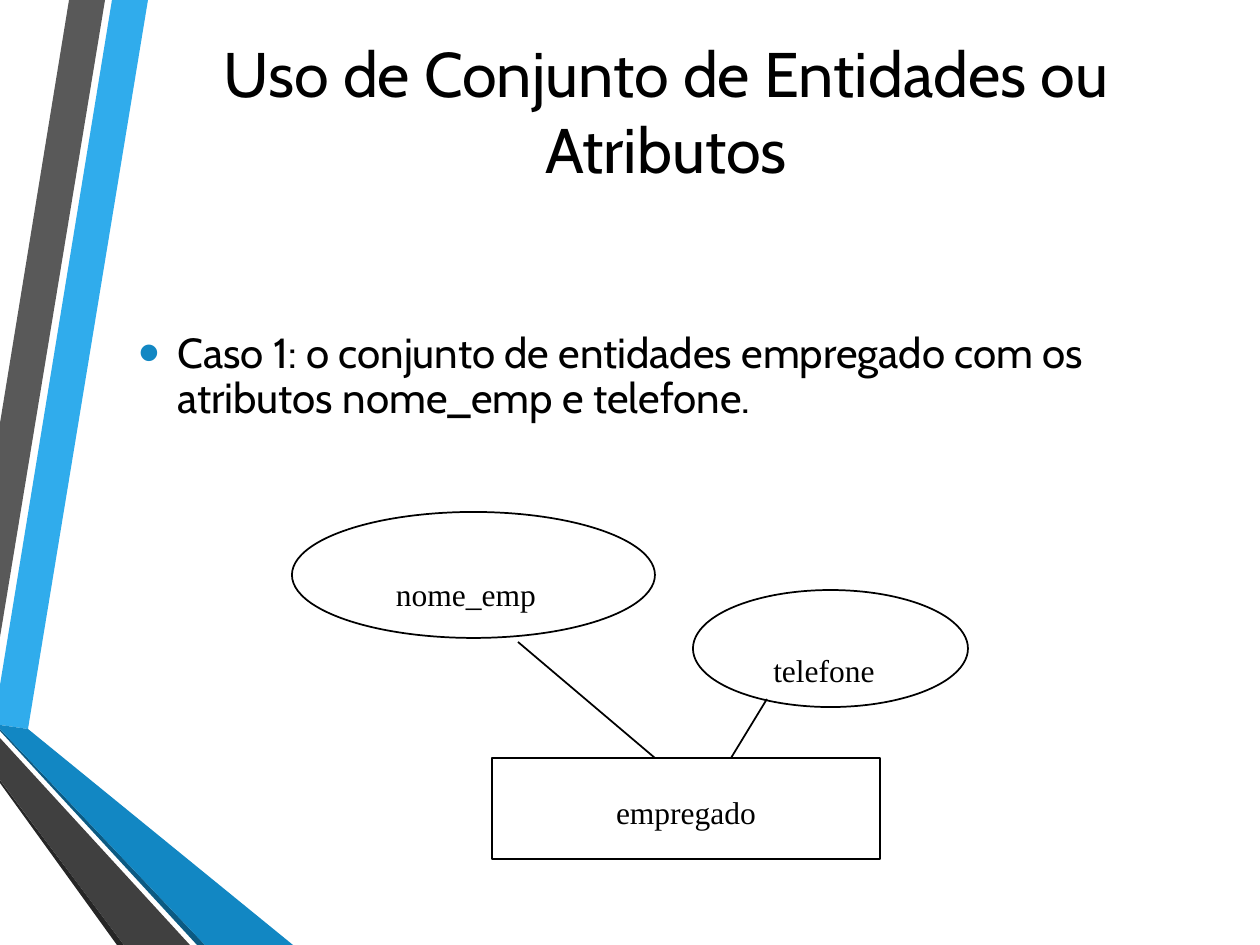
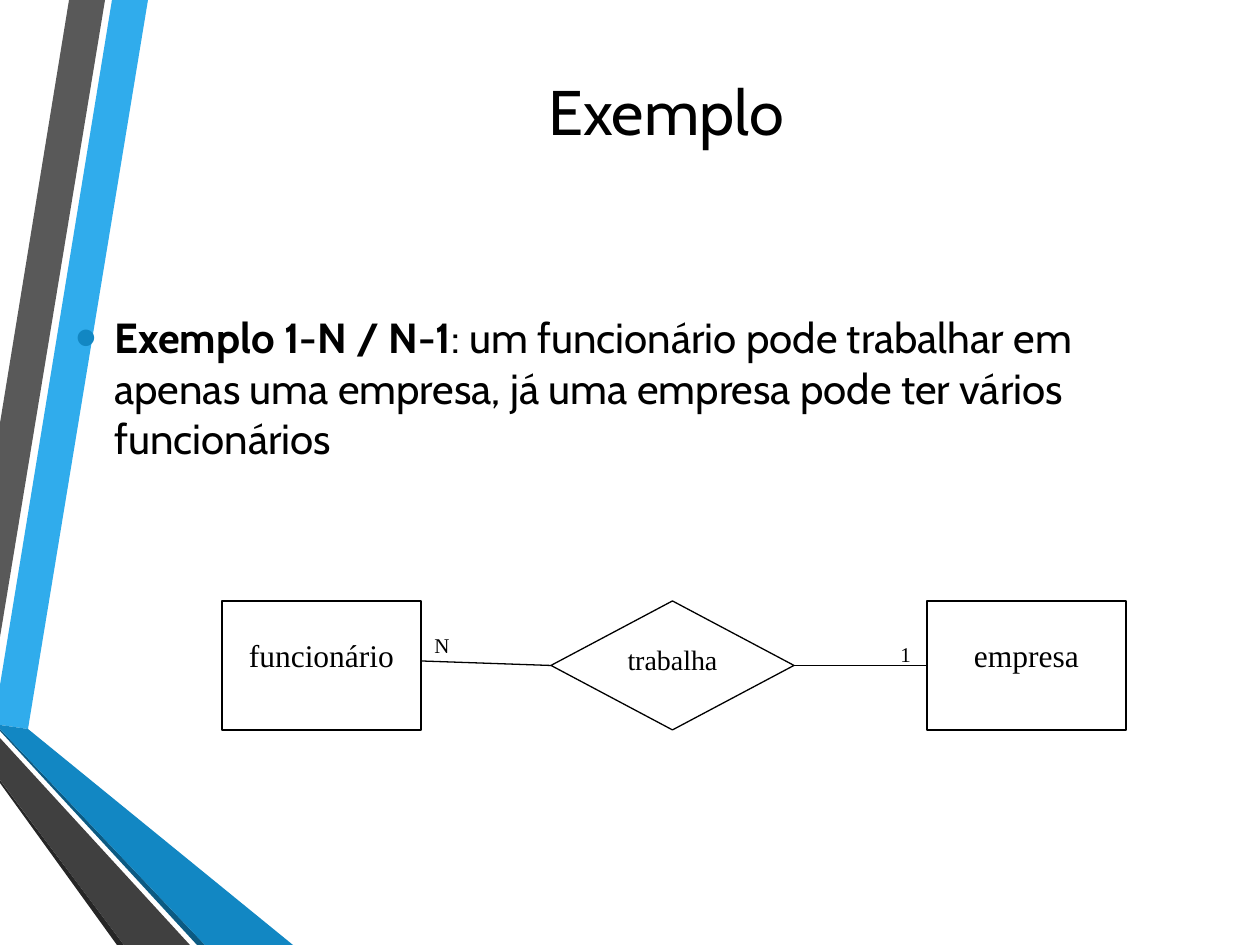
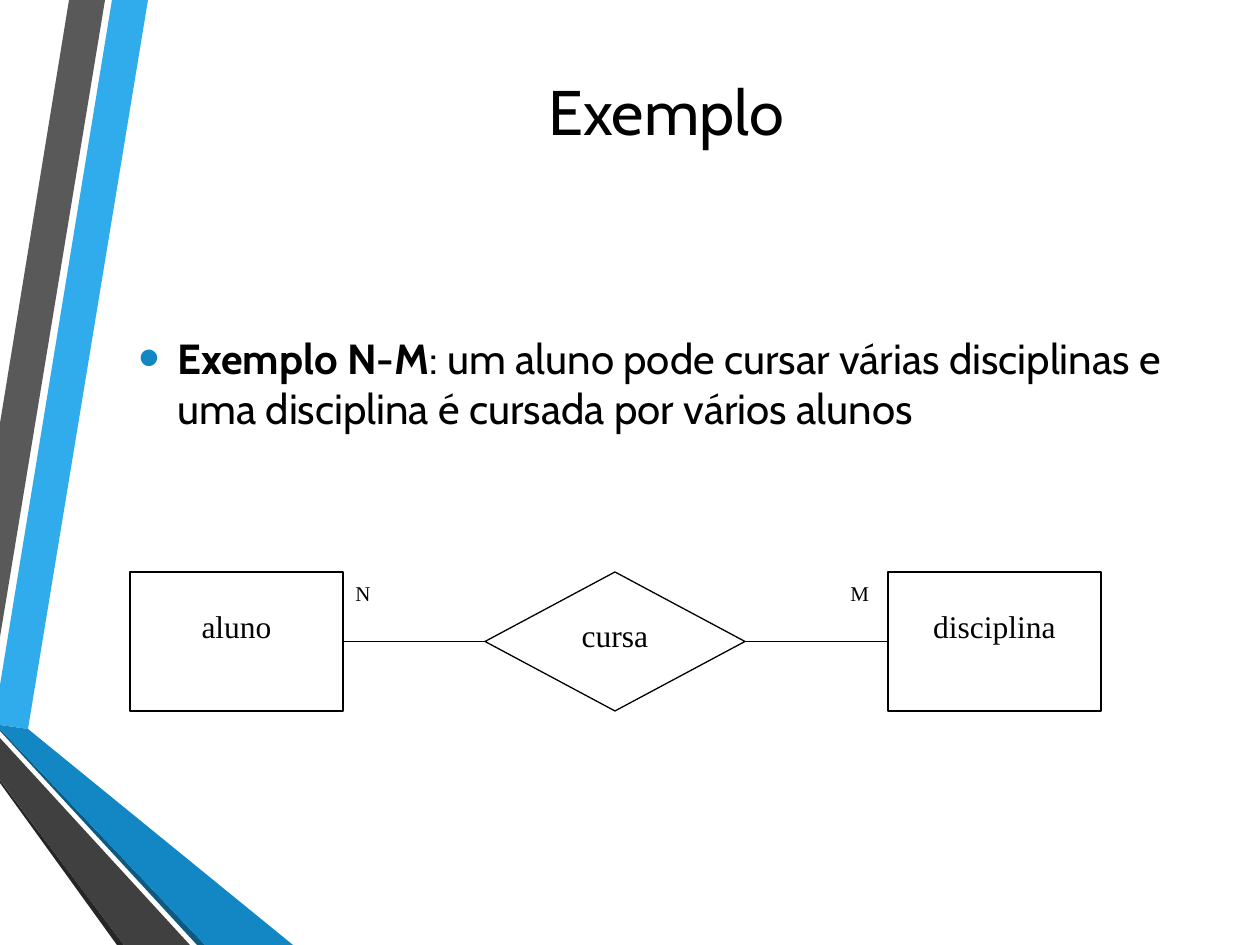
from lxml.etree import SubElement
from pptx import Presentation
from pptx.dml.color import RGBColor
from pptx.enum.shapes import MSO_CONNECTOR, MSO_SHAPE
from pptx.enum.text import MSO_ANCHOR, PP_ALIGN
from pptx.oxml.ns import qn
from pptx.util import Pt

EMU_PER_PX = 914400 / 126
WIDTH, HEIGHT = 1260, 945

BLACK = RGBColor(0x00, 0x00, 0x00)
WHITE = RGBColor(0xFF, 0xFF, 0xFF)
SKY = RGBColor(0x30, 0xAC, 0xEC)
BLUE = RGBColor(0x12, 0x87, 0xC3)
NAVY = RGBColor(0x0C, 0x5A, 0x82)
GRAY = RGBColor(0x59, 0x59, 0x59)
CHARCOAL = RGBColor(0x40, 0x40, 0x40)
SOOT = RGBColor(0x26, 0x26, 0x26)

HEADING_FONT = "Cabin"
DIAGRAM_FONT = "Times New Roman"
TOP, LEFT, RIGHT = 0, 1, 3
NAME_INSET = 35
SHORT_INSET = 9

BANDS = [
    (SKY, [(0, 685), (0, 725), (28, 729), (148, 0), (112, 0)]),
    (GRAY, [(105, 0), (69, 0), (0, 423), (0, 637)]),
    (SOOT, [(0, 780), (0, 783), (117, 945), (124, 945)]),
    (NAVY, [(0, 729), (0, 731), (197, 945), (205, 945)]),
    (BLUE, [(0, 729), (205, 945), (293, 945), (28, 729), (0, 725)]),
    (CHARCOAL, [(0, 780), (124, 945), (190, 945), (0, 738)]),
]


def px(*lengths):
    return [round(length * EMU_PER_PX) for length in lengths]


class Deck:
    def __init__(self):
        self.presentation = Presentation()
        size = px(WIDTH, HEIGHT)
        self.presentation.slide_width, self.presentation.slide_height = size
        self.slide = None

    def start_slide(self, title):
        layout = self.presentation.slide_layouts[6]
        self.slide = self.presentation.slides.add_slide(layout)
        for color, corners in BANDS:
            self.band(color, corners)
        frame = self.text_box(135, 63, 1062, 95, MSO_ANCHOR.MIDDLE)
        frame.text = title
        self.style(frame.paragraphs[0], HEADING_FONT, 36, PP_ALIGN.CENTER)

    def band(self, color, corners):
        builder = self.slide.shapes.build_freeform(*corners[0], scale=EMU_PER_PX)
        builder.add_line_segments(corners[1:], close=True)
        band = builder.convert_to_shape()
        band.shadow.inherit = False
        band.fill.solid()
        band.fill.fore_color.rgb = color
        band.line.fill.background()

    def text_box(self, left, top, width, height, anchor=MSO_ANCHOR.TOP):
        box = self.slide.shapes.add_textbox(*px(left, top, width, height))
        box.text_frame.word_wrap = True
        box.text_frame.vertical_anchor = anchor
        return box.text_frame

    def style(self, paragraph, font, size, align=PP_ALIGN.LEFT):
        paragraph.alignment = align
        for run in paragraph.runs:
            run.font.name = font
            run.font.size = Pt(size)
            run.font.color.rgb = BLACK

    def bullet(self, height, indent, text, lead="", spacing=None):
        frame = self.text_box(63, 273, 1134, height, MSO_ANCHOR.MIDDLE)
        paragraph = frame.paragraphs[0]
        properties = paragraph._p.get_or_add_pPr()
        margin, hanging = px(indent, -39)
        properties.set("marL", str(margin))
        properties.set("indent", str(hanging))
        color = SubElement(properties, qn("a:buClr"))
        SubElement(color, qn("a:srgbClr"), val=str(BLUE))
        SubElement(properties, qn("a:buSzPct"), val="145000")
        SubElement(properties, qn("a:buFont"), typeface="Arial")
        SubElement(properties, qn("a:buChar"), char="•")
        if spacing:
            paragraph.line_spacing = spacing
        if lead:
            paragraph.text = lead
            paragraph.runs[0].font.bold = True
        paragraph.add_run().text = text
        self.style(paragraph, HEADING_FONT, 24)

    def label(self, frame, text, size=18, inset=NAME_INSET, align=PP_ALIGN.CENTER):
        frame.word_wrap = True
        frame.vertical_anchor = MSO_ANCHOR.TOP
        frame.margin_top = px(inset)[0]
        frame.text = text
        self.style(frame.paragraphs[0], DIAGRAM_FONT, size, align)

    def node(self, kind, left, top, width, height, weight=0.75):
        node = self.slide.shapes.add_shape(kind, *px(left, top, width, height))
        node.shadow.inherit = False
        node.fill.solid()
        node.fill.fore_color.rgb = WHITE
        node.line.color.rgb = BLACK
        node.line.width = Pt(weight)
        return node

    def entity(self, name, left, top, width, height, weight=0.75):
        entity = self.node(MSO_SHAPE.RECTANGLE, left, top, width, height, weight)
        self.label(entity.text_frame, name)
        return entity

    def relationship(self, name, left, top, width, height, size):
        diamond = self.node(MSO_SHAPE.FLOWCHART_DECISION, left, top, width, height)
        self.label(diamond.text_frame, name, size, SHORT_INSET)
        return diamond

    def attribute(self, name, oval, name_box):
        self.node(MSO_SHAPE.OVAL, *oval, weight=1)
        self.label(self.text_box(*name_box), name)

    def cardinality(self, mark, left, top):
        frame = self.text_box(left, top, 90, 100)
        self.label(frame, mark, 12, SHORT_INSET, PP_ALIGN.LEFT)

    def line(self, start, end, weight=0.75, start_node=None, end_node=None):
        line = self.slide.shapes.add_connector(
            MSO_CONNECTOR.STRAIGHT, *px(*start, *end))
        if start_node:
            line.begin_connect(*start_node)
        if end_node:
            line.end_connect(*end_node)
        line.line.color.rgb = BLACK
        line.line.width = Pt(weight)
        SubElement(line._element.spPr, qn("a:effectLst"))


def attributes_slide(deck):
    deck.start_slide("Uso de Conjunto de Entidades ou Atributos")
    deck.bullet(209, 102, "Caso 1: o conjunto de entidades empregado com os "
                "atributos nome_emp e telefone.", spacing=0.9)
    deck.entity("empregado", 492, 758, 388, 101, weight=1)
    deck.attribute("nome_emp", (292, 512, 363, 126), (309, 540, 314, 78))
    deck.attribute("telefone", (693, 590, 275, 117), (705, 616, 238, 78))
    deck.line((518, 642), (655, 758), weight=1)
    deck.line((767, 699), (731, 758), weight=1)


def one_to_many_slide(deck):
    deck.start_slide("Exemplo")
    deck.bullet(229, 39, ": um funcionário pode trabalhar em apenas uma empresa, "
                "já uma empresa pode ter vários funcionários", "Exemplo 1-N / N-1")
    top, height = 601, 129
    empresa = deck.entity("empresa", 927, top, 199, height)
    deck.entity("funcionário", 222, top, 199, height)
    trabalha = deck.relationship("trabalha", 551, top, 243, height, 16)
    deck.line((551, 666), (421, 661), start_node=(trabalha, LEFT))
    deck.line((794, 666), (927, 666), start_node=(trabalha, RIGHT),
              end_node=(empresa, LEFT))
    deck.cardinality("N", 422, 624)
    deck.cardinality("1", 888, 633)


def many_to_many_slide(deck):
    deck.start_slide("Exemplo")
    deck.bullet(219, 102, ": um aluno pode cursar várias disciplinas e uma "
                "disciplina é cursada por vários alunos", "Exemplo N-M")
    top, height = 572, 139
    disciplina = deck.entity("disciplina", 888, top, 213, height)
    aluno = deck.entity("aluno", 130, top, 213, height)
    cursa = deck.relationship("cursa", 485, top, 260, height, 18)
    deck.line((485, 641), (343, 641), start_node=(cursa, LEFT),
              end_node=(aluno, RIGHT))
    deck.line((745, 641), (888, 641), start_node=(cursa, RIGHT),
              end_node=(disciplina, LEFT))
    deck.cardinality("N", 343, top)
    deck.cardinality("M", 838, top)


def main():
    deck = Deck()
    attributes_slide(deck)
    one_to_many_slide(deck)
    many_to_many_slide(deck)
    deck.presentation.save("out.pptx")


if __name__ == "__main__":
    main()
